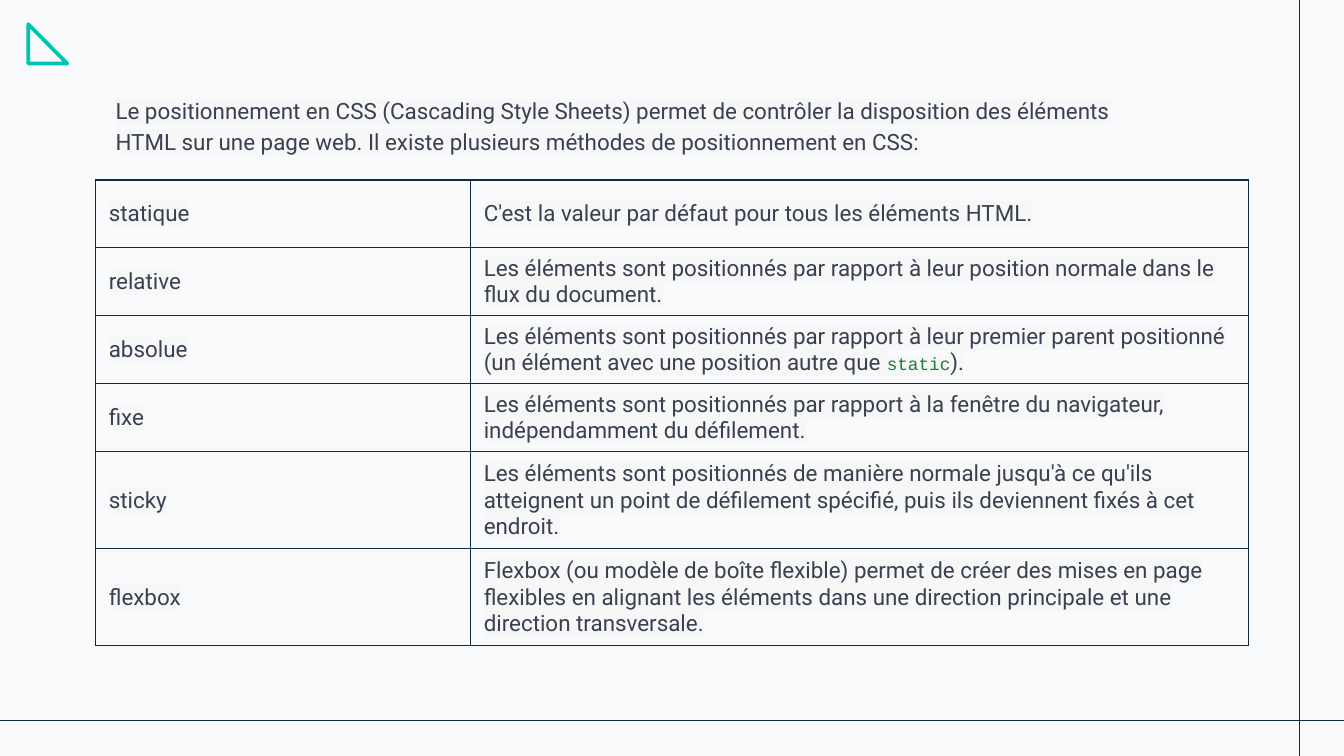
"""Builds a slide that lists the CSS positioning methods in a table."""
from dataclasses import dataclass

from lxml import etree
from pptx import Presentation
from pptx import util as u
from pptx.dml.color import RGBColor
from pptx.enum import shapes, text
from pptx.oxml import ns

WIDTH = u.Inches(10)
HEIGHT = WIDTH * 9 // 16

INTRO = (
    "Le positionnement en CSS (Cascading Style Sheets) permet de contrôler la disposition "
    "des éléments HTML sur une page web. Il existe plusieurs méthodes de positionnement en CSS:"
)
METHODS = [
    ("statique", ["C'est la valeur par défaut pour tous les éléments HTML."]),
    ("relative", ["Les éléments sont positionnés par rapport à leur position normale dans le "
                  "flux du document."]),
    ("absolue", ["Les éléments sont positionnés par rapport à leur premier parent positionné "
                 "(un élément avec une position autre que ", "static", ")."]),
    ("fixe", ["Les éléments sont positionnés par rapport à la fenêtre du navigateur, "
              "indépendamment du défilement."]),
    ("sticky", ["Les éléments sont positionnés de manière normale jusqu'à ce qu'ils atteignent "
                "un point de défilement spécifié, puis ils deviennent fixés à cet endroit."]),
    ("flexbox", ["Flexbox (ou modèle de boîte flexible) permet de créer des mises en page "
                 "flexibles en alignant les éléments dans une direction principale et une "
                 "direction transversale."]),
]
COLUMN_SHARES = [27.9, 57.9]
ROW_SHARES = [9] * 4 + [12.83] * 2


@dataclass(frozen=True)
class Theme:
    """Colours, fonts and sizes of the slide."""

    paper: str = "F8FAFB"
    rule: str = "0E2A47"
    accent: str = "00C3B1"
    ink: str = "374151"
    code_ink: str = "188038"
    highlight: str = "F7F7F8"
    font: str = "Roboto"
    code_font: str = "Courier New"
    size: float = 12
    code_size: float = 9.5
    rule_width: float = 0.75
    accent_width: float = 2


THEME = Theme()


def across(share):
    """Return a percentage of the slide width."""
    return u.Emu(round(WIDTH * share / 100))


def down(share):
    """Return a percentage of the slide height."""
    return u.Emu(round(HEIGHT * share / 100))


def apply(target, values):
    """Set every attribute named in a dict of format values."""
    for name, value in values.items():
        setattr(target, name, value)


def paint(fill, color):
    """Make a fill solid in the given colour."""
    fill.solid()
    fill.fore_color.rgb = RGBColor.from_string(color)


def add_color(parent, color):
    """Append an RGB colour element."""
    etree.SubElement(parent, ns.qn("a:srgbClr"), val=color)


def add_run(p, words, code=False):
    """Add a highlighted run in the body or the code style."""
    r = p.add_run()
    r.text = words
    name, size, color = (
        (THEME.code_font, THEME.code_size, THEME.code_ink) if code
        else (THEME.font, THEME.size, THEME.ink)
    )
    apply(r.font, {"name": name, "size": u.Pt(size), "bold": False})
    paint(r.font.fill, color)
    highlight = etree.Element(ns.qn("a:highlight"))
    add_color(highlight, THEME.highlight)
    r.font._element.find(ns.qn("a:solidFill")).addnext(highlight)


def add_rule(s, start, end):
    """Draw a thin straight rule between two points."""
    sp = s.shapes.add_connector(shapes.MSO_CONNECTOR.STRAIGHT, *start, *end)
    sp.line.width = u.Pt(THEME.rule_width)
    paint(sp.line.fill, THEME.rule)
    etree.SubElement(sp._element.spPr, ns.qn("a:effectLst"))


def add_corner_mark(s):
    """Draw the plain outlined triangle in the corner."""
    sp = s.shapes.add_shape(
        shapes.MSO_SHAPE.RIGHT_TRIANGLE, across(2.1), down(3.2), across(2.9), down(5.2))
    sp.shadow.inherit = False
    sp.fill.background()
    sp.line.width = u.Pt(THEME.accent_width)
    paint(sp.line.fill, THEME.accent)


def fill_intro(sp):
    """Place the body placeholder and write the introduction."""
    apply(sp, {"left": across(7.6), "top": down(10.5),
               "width": across(79.2), "height": down(6)})
    tf = sp.text_frame
    margins = dict.fromkeys(
        ("margin_left", "margin_top", "margin_right", "margin_bottom"), u.Inches(0.1))
    apply(tf, {**margins, "word_wrap": True, "auto_size": text.MSO_AUTO_SIZE.NONE,
               "vertical_anchor": text.MSO_ANCHOR.TOP})
    p = tf.paragraphs[0]
    apply(p, {"line_spacing": 1.15, "space_before": u.Pt(0),
              "alignment": text.PP_ALIGN.LEFT})
    add_run(p, INTRO)


def add_borders(cell):
    """Draw the four borders of a cell."""
    tc_pr = cell._tc.get_or_add_tcPr()
    for side in ("lnL", "lnR", "lnT", "lnB"):
        ln = etree.SubElement(tc_pr, ns.qn(f"a:{side}"), w=str(u.Pt(THEME.rule_width)))
        add_color(etree.SubElement(ln, ns.qn("a:solidFill")), THEME.rule)


def fill_cell(cell, pieces):
    """Format a cell and write its pieces, every second one as code."""
    apply(cell, {"margin_left": u.Inches(0.1), "margin_right": u.Inches(0.1),
                 "margin_top": 0, "margin_bottom": 0,
                 "vertical_anchor": text.MSO_ANCHOR.MIDDLE})
    add_borders(cell)
    paint(cell.fill, THEME.paper)
    for i, words in enumerate(pieces):
        add_run(cell.text_frame.paragraphs[0], words, code=i % 2 == 1)


def add_methods(s):
    """Add the table of positioning methods."""
    table = s.shapes.add_table(
        len(METHODS), len(COLUMN_SHARES), across(7.1), down(23.8),
        across(sum(COLUMN_SHARES)), down(sum(ROW_SHARES))).table
    apply(table, {"first_row": False, "horz_banding": False})
    for column, share in zip(table.columns, COLUMN_SHARES):
        column.width = across(share)
    for row, share, (name, pieces) in zip(table.rows, ROW_SHARES, METHODS):
        row.height = down(share)
        fill_cell(row.cells[0], [name])
        fill_cell(row.cells[1], pieces)


def main():
    """Build and save the slide."""
    prs = Presentation()
    apply(prs, {"slide_width": WIDTH, "slide_height": HEIGHT})
    s = prs.slides.add_slide(prs.slide_layouts.get_by_name("Section Header"))
    paint(s.background.fill, THEME.paper)
    title = s.shapes.title._element
    title.getparent().remove(title)
    add_rule(s, (0, down(95.3)), (WIDTH, down(95.3)))
    add_rule(s, (across(96.7), 0), (across(96.7), HEIGHT))
    add_corner_mark(s)
    fill_intro(s.placeholders[1])
    add_methods(s)
    prs.save("out.pptx")


if __name__ == "__main__":
    main()
